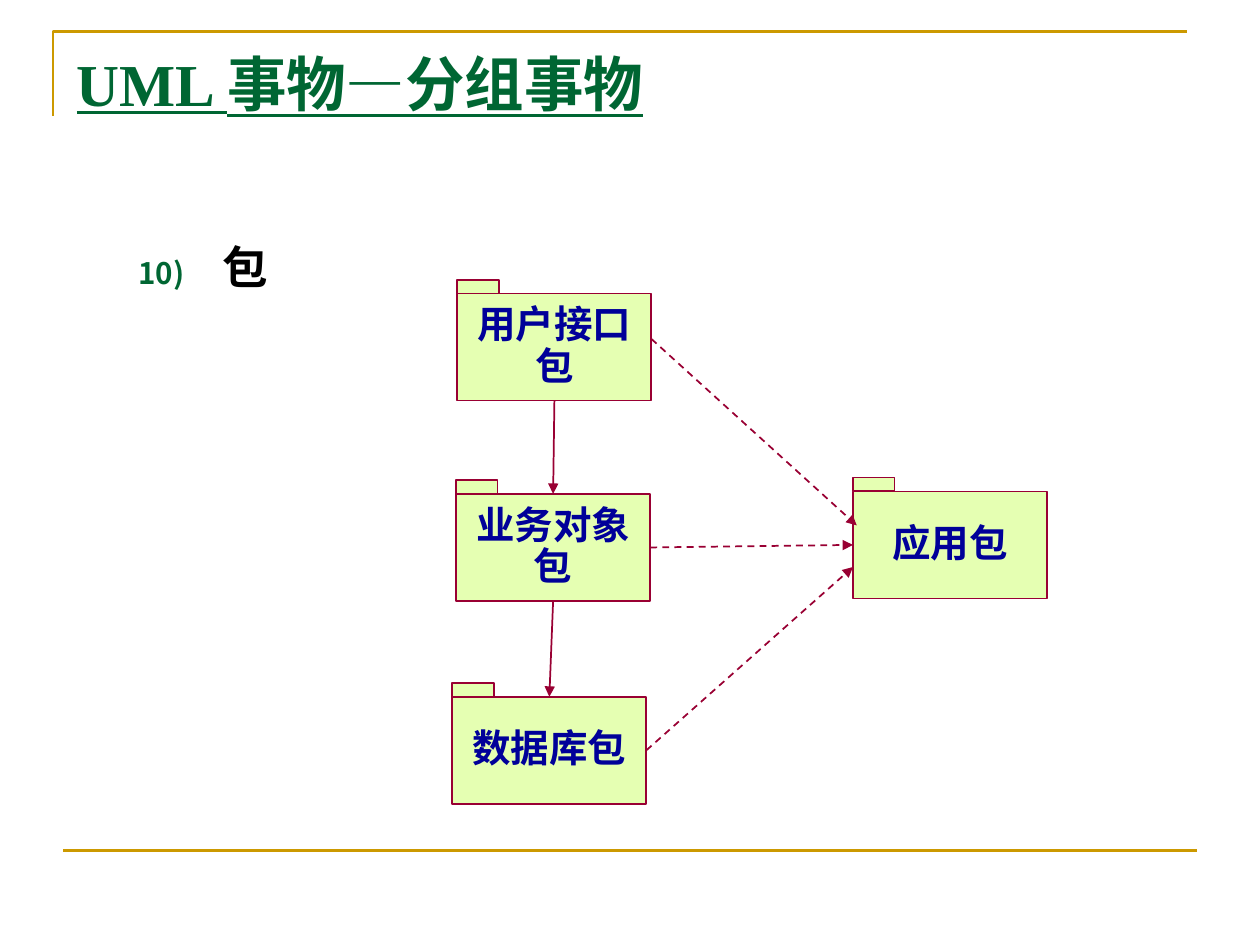
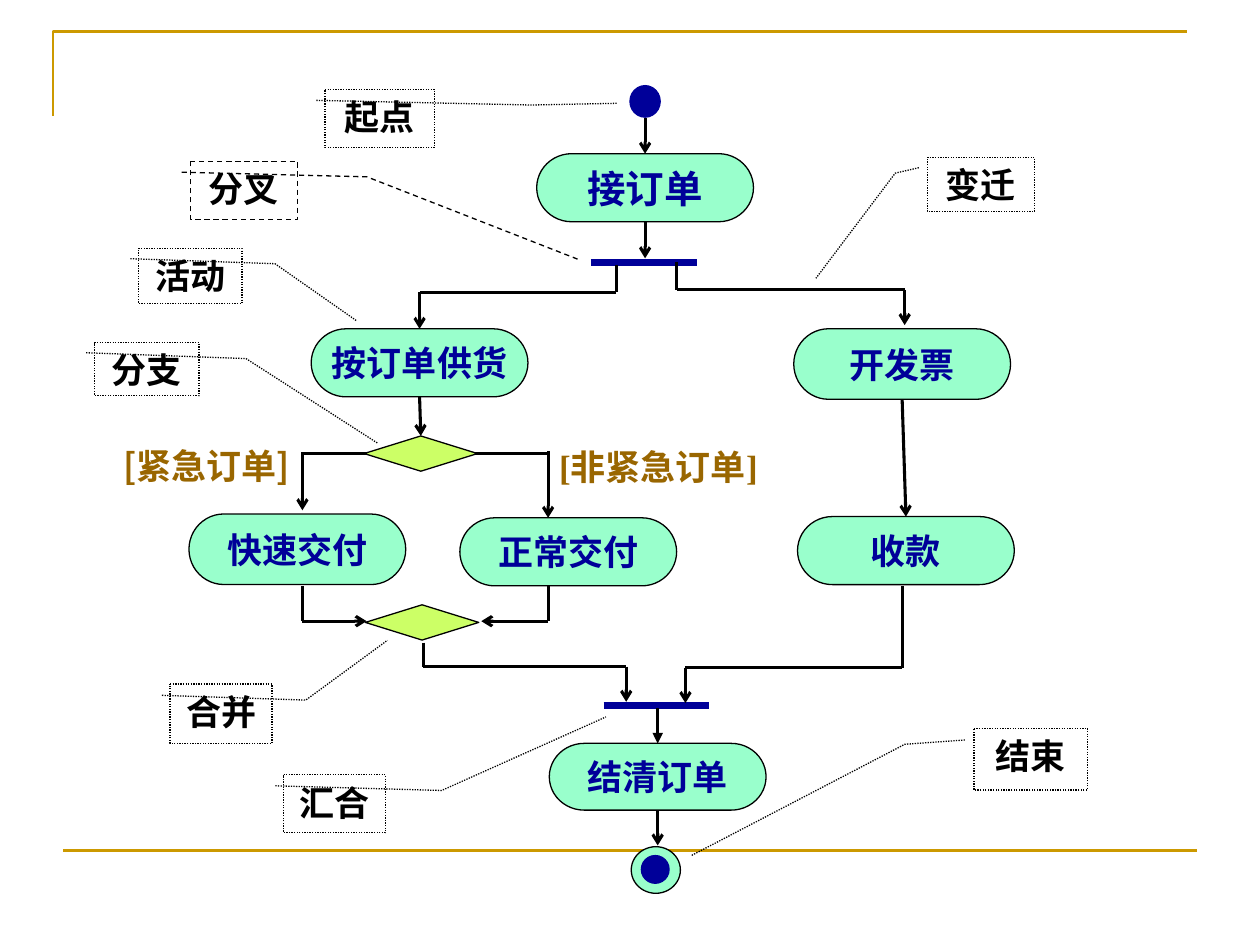
import collections
import dataclasses

import lxml.etree
import pptx
import pptx.dml.color
import pptx.enum.dml
import pptx.enum.shapes
import pptx.enum.text
import pptx.oxml.ns
import pptx.util

SHAPE = pptx.enum.shapes.MSO_SHAPE
ANCHOR = pptx.enum.text.MSO_ANCHOR
ALIGN = pptx.enum.text.PP_ALIGN
DASH = pptx.enum.dml.MSO_LINE.DASH
DOT = pptx.enum.dml.MSO_LINE.ROUND_DOT
TOP, LEFT, BOTTOM, RIGHT = range(4)

# A place in the middle of a side of a shape
Side = collections.namedtuple("Side", "shape number")


@dataclasses.dataclass(frozen=True)
class Theme:
    gold: str = "CC9900"
    green: str = "006633"
    navy: str = "000099"
    black: str = "000000"
    white: str = "FFFFFF"
    wine: str = "990033"
    lime: str = "CCFF66"
    mint: str = "99FFCC"
    brown: str = "996600"
    serif: str = "Times New Roman"
    sans: str = "Arial"
    cjk: str = "Noto Sans CJK SC"
    title_size: float = 34
    item_size: float = 26
    package_size: float = 22
    flow_size: float = 20
    frame_width: float = 1.5
    package_width: float = 1
    outline_width: float = 0.75
    flow_width: float = 1.75
    bar_width: float = 4


THEME = Theme()


# Basics
def inches(*values):
    return [pptx.util.Cm(2.54 * value) for value in values]


def rgb(code):
    return pptx.dml.color.RGBColor.from_string(code)


def add_child(parent, tag, **attributes):
    child = lxml.etree.SubElement(parent, pptx.oxml.ns.qn(tag))
    for name, value in attributes.items():
        child.set(name, value)
    return child


def style_line(line, color, width, dash=None):
    line.color.rgb = rgb(color)
    line.width = pptx.util.Pt(width)
    if dash:
        line.dash_style = dash


def write(frame, text, size, color, font, align=ALIGN.CENTER,
          anchor=ANCHOR.MIDDLE, wrap=True, margin=0.05):
    frame.word_wrap = wrap
    frame.vertical_anchor = anchor
    frame.margin_left, frame.margin_right = inches(0.1, 0.1)
    frame.margin_top, frame.margin_bottom = inches(margin, margin)
    paragraph = frame.paragraphs[0]
    paragraph.alignment = align
    paragraph.space_before = pptx.util.Pt(0)
    run = paragraph.add_run()
    run.text = text
    run.font.name = font
    run.font.size = pptx.util.Pt(size)
    run.font.bold = True
    run.font.color.rgb = rgb(color)
    add_child(run.font._element, "a:ea", typeface=THEME.cjk)
    return paragraph


def add_box(slide, kind, box, fill, outline, width=THEME.outline_width, dash=None):
    shape = slide.shapes.add_shape(kind, *inches(*box))
    shape.shadow.inherit = False
    shape.fill.solid()
    shape.fill.fore_color.rgb = rgb(fill)
    style_line(shape.line, outline, width, dash)
    return shape


def add_line(slide, start, end, color=THEME.black, width=THEME.flow_width,
             dash=None, head=None):
    """Draw a straight line between two points or shape sides."""
    ends = [(0, 0) if isinstance(place, Side) else place for place in (start, end)]
    connector = slide.shapes.add_connector(
        pptx.enum.shapes.MSO_CONNECTOR.STRAIGHT, *inches(*ends[0], *ends[1]))
    if isinstance(start, Side):
        connector.begin_connect(*start)
    if isinstance(end, Side):
        connector.end_connect(*end)
    style_line(connector.line, color, width, dash)
    if head:
        add_child(connector.line._get_or_add_ln(), "a:tailEnd", type=head)
    add_child(connector._element.spPr, "a:effectLst")


def add_route(slide, *places):
    """Draw a bent flow whose last leg carries the arrowhead."""
    legs = list(zip(places, places[1:]))
    for start, end in legs[:-1]:
        add_line(slide, start, end)
    add_line(slide, *legs[-1], head="arrow")


# Shared slide parts
def add_frame(slide):
    corner = slide.shapes.build_freeform(*inches(0.42, 0.92), scale=1.0)
    corner.add_line_segments([inches(0.42, 0.25), inches(9.42, 0.25)], close=False)
    edge = corner.convert_to_shape()
    edge.shadow.inherit = False
    edge.fill.background()
    style_line(edge.line, THEME.gold, THEME.frame_width)
    add_line(slide, (0.5, 6.75), (9.5, 6.75), THEME.gold, THEME.frame_width)


def set_title(slide, text):
    title = slide.shapes.title
    title.left, title.top, title.width, title.height = inches(0.51, 0.32, 9, 1.04)
    paragraph = write(title.text_frame, text, THEME.title_size, THEME.green,
                      THEME.serif, ALIGN.LEFT, ANCHOR.TOP)
    paragraph.runs[0].font.underline = True


# Package diagram parts
def add_numbered_item(slide, text, number):
    item = slide.shapes.add_textbox(*inches(1, 1.76, 8.69, 0.71))
    paragraph = write(item.text_frame, text, THEME.item_size, THEME.black,
                      THEME.sans, ALIGN.LEFT, ANCHOR.TOP)
    paragraph.line_spacing = 1.2
    properties = paragraph._p.get_or_add_pPr()
    indent = inches(0.67)[0]
    properties.set("marL", str(indent))
    properties.set("indent", str(-indent))
    add_child(add_child(properties, "a:buClr"), "a:srgbClr", val=THEME.green)
    add_child(properties, "a:buSzPct", val="65000")
    add_child(properties, "a:buAutoNum", type="arabicParenR", startAt=str(number))


def add_package(slide, text, left, top):
    body, tab = [
        add_box(slide, SHAPE.RECTANGLE, box, THEME.lime, THEME.wine, THEME.package_width)
        for box in ((left, top, 1.54, 0.85), (left, top - 0.11, 0.33, 0.11))
    ]
    for part in (body, tab):
        color = part.fill._xPr.find(".//" + pptx.oxml.ns.qn("a:srgbClr"))
        add_child(color, "a:alpha", val="50000")
    paragraph = write(body.text_frame, text, THEME.package_size, THEME.navy,
                      THEME.sans, margin=0.1)
    paragraph.line_spacing = 0.9
    return body


def add_dependency(slide, start, end, dash=None):
    add_line(slide, start, end, THEME.wine, THEME.package_width, dash, "triangle")


# Activity diagram parts
def add_activity(slide, text, left, top, height=0.54, size=THEME.flow_size):
    activity = add_box(slide, SHAPE.FLOWCHART_TERMINATOR, (left, top, 1.72, height),
                       THEME.mint, THEME.black)
    write(activity.text_frame, text, size, THEME.navy, THEME.serif, wrap=False)
    return activity


def add_decision(slide, left, top):
    return add_box(slide, SHAPE.DIAMOND, (left, top, 0.9, 0.28), THEME.lime, THEME.black)


def add_dot(slide, *box):
    add_box(slide, SHAPE.OVAL, box, THEME.navy, THEME.navy)


def add_bar(slide, left, top):
    add_line(slide, (left, top), (left + 0.84, top), THEME.navy, THEME.bar_width)


def add_callout(slide, text, box, leader, dash=DOT):
    callout = add_box(slide, SHAPE.LINE_CALLOUT_2, box, THEME.white, THEME.black, dash=dash)
    for index, value in enumerate((0.19, -0.08) + leader):
        callout.adjustments[index] = value
    write(callout.text_frame, text, THEME.flow_size, THEME.black, THEME.serif,
          anchor=ANCHOR.TOP)


def add_guard(slide, text, box, font):
    guard = slide.shapes.add_textbox(*inches(*box))
    write(guard.text_frame, text, THEME.flow_size, THEME.brown, font,
          anchor=ANCHOR.TOP, wrap=False)
    guard.text_frame.auto_size = pptx.enum.text.MSO_AUTO_SIZE.SHAPE_TO_FIT_TEXT


# Slides
def build_packages(deck):
    slide = deck.slides.add_slide(deck.slide_layouts[5])
    add_frame(slide)
    set_title(slide, "UML 事物—分组事物")
    add_numbered_item(slide, "包", 10)

    interface = add_package(slide, "用户接口包", 3.63, 2.33)
    business = add_package(slide, "业务对象包", 3.62, 3.92)
    database = add_package(slide, "数据库包", 3.59, 5.53)
    application = add_package(slide, "应用包", 6.77, 3.9)

    add_dependency(slide, Side(interface, BOTTOM), Side(business, TOP))
    add_dependency(slide, Side(business, BOTTOM), Side(database, TOP))
    add_dependency(slide, (5.17, 2.69), (6.8, 4.17), DASH)
    add_dependency(slide, Side(business, RIGHT), Side(application, LEFT), DASH)
    add_dependency(slide, Side(database, RIGHT), (6.77, 4.5), DASH)


def build_activities(deck):
    slide = deck.slides.add_slide(deck.slide_layouts[6])
    add_frame(slide)

    # Branch line that runs behind the decision
    add_line(slide, (2.39, 3.6), (4.35, 3.6))

    # Start, activities, decisions and end
    add_dot(slide, 5, 0.68, 0.24, 0.25)
    receive = add_activity(slide, "接订单", 4.26, 1.22, size=THEME.package_size)
    supply = add_activity(slide, "按订单供货", 2.47, 2.61)
    invoice = add_activity(slide, "开发票", 6.3, 2.61, 0.56)
    add_activity(slide, "快速交付", 1.5, 4.08, 0.56)
    add_activity(slide, "正常交付", 3.65, 4.11)
    collect = add_activity(slide, "收款", 6.33, 4.1)
    settle = add_activity(slide, "结清订单", 4.36, 5.9, 0.53)
    branch = add_decision(slide, 2.89, 3.46)
    add_decision(slide, 2.9, 4.8)
    add_box(slide, SHAPE.OVAL, (5.01, 6.72, 0.39, 0.37), THEME.mint, THEME.black)
    add_dot(slide, 5.09, 6.79, 0.22, 0.22)

    # Fork and join bars
    add_bar(slide, 4.69, 2.08)
    add_bar(slide, 4.79, 5.6)

    # Flows from top to bottom
    add_route(slide, (5.12, 0.94), Side(receive, TOP))
    add_route(slide, Side(receive, BOTTOM), (5.12, 2.05))
    add_route(slide, (4.89, 2.1), (4.89, 2.32), (3.33, 2.32), Side(supply, TOP))
    add_route(slide, (5.37, 2.08), (5.37, 2.3), (7.18, 2.3), (7.18, 2.58))
    add_route(slide, Side(supply, BOTTOM), Side(branch, TOP))
    add_route(slide, Side(invoice, BOTTOM), Side(collect, TOP))
    add_route(slide, (2.4, 3.6), (2.4, 4.05))
    add_route(slide, (4.35, 3.58), (4.35, 4.11))
    add_route(slide, (2.4, 4.65), (2.4, 4.93), (2.91, 4.93))
    add_route(slide, (4.35, 4.65), (4.35, 4.93), (3.82, 4.93))
    add_route(slide, (3.36, 5.1), (3.36, 5.29), (4.97, 5.29), (4.97, 5.57))
    add_route(slide, (7.16, 4.65), (7.16, 5.3), (5.44, 5.3), (5.44, 5.58))
    add_line(slide, (5.22, 5.62), Side(settle, TOP), width=2, head="triangle")
    add_route(slide, Side(settle, BOTTOM), (5.22, 6.71))

    # Callouts: text, box, then bend and tip of the leader
    add_callout(slide, "起点", (2.58, 0.71, 0.87, 0.46), (0.27, 1.88, 0.24, 2.67))
    add_callout(slide, "分叉", (1.51, 1.28, 0.85, 0.46), (0.27, 1.65, 1.7, 3.63), DASH)
    add_callout(slide, "活动", (1.1, 1.97, 0.82, 0.44), (0.28, 1.32, 1.31, 2.11))
    add_callout(slide, "分支", (0.75, 2.72, 0.83, 0.42), (0.3, 1.45, 1.9, 2.71))
    add_callout(slide, "合并", (1.35, 5.43, 0.81, 0.47), (0.27, 1.33, -0.74, 2.13))
    add_callout(slide, "汇合", (2.25, 6.15, 0.81, 0.46), (0.27, 1.55, -1, 3.16))
    add_callout(slide, "结束", (7.73, 5.78, 0.9, 0.49), (0.26, -0.61, 2.06, -2.49))
    add_callout(slide, "变迁", (7.36, 1.25, 0.85, 0.43), (0.29, -0.3, 2.23, -1.04))

    # Branch conditions
    add_guard(slide, "[紧急订单]", (0.78, 3.48, 1.72, 0.44), THEME.cjk)
    add_guard(slide, "[非紧急订单]", (4.27, 3.49, 1.91, 0.44), THEME.serif)


def main():
    deck = pptx.Presentation()
    deck.slide_width, deck.slide_height = inches(10, 7.5)
    build_packages(deck)
    build_activities(deck)
    deck.save("out.pptx")


if __name__ == "__main__":
    main()
